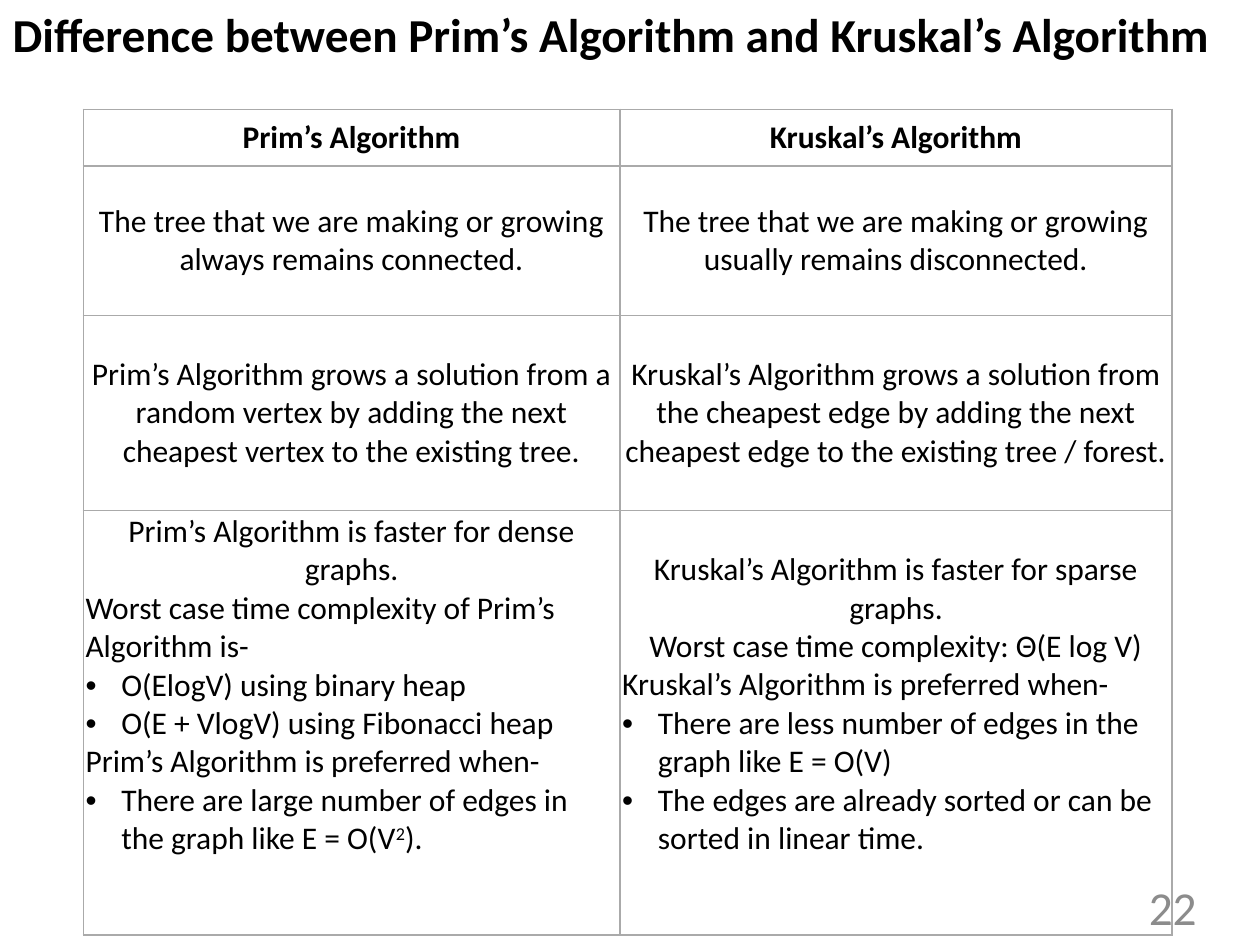
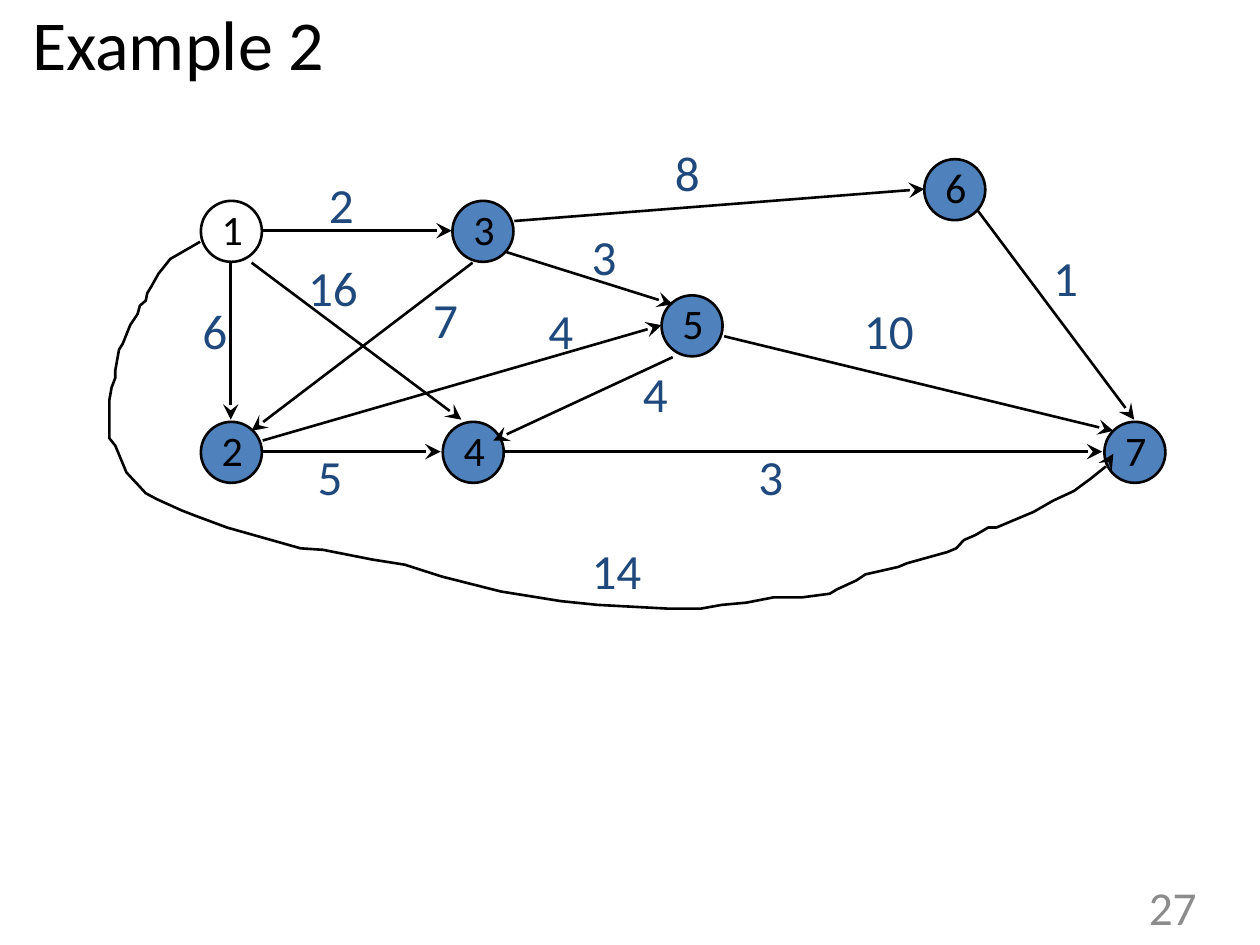
"""Build two slides that compare spanning tree methods and show a weighted graph."""
from dataclasses import dataclass
from typing import Any

from lxml.etree import SubElement
from pptx import Presentation
from pptx.dml.color import RGBColor
from pptx.enum.shapes import MSO_CONNECTOR, MSO_SHAPE
from pptx.enum.text import MSO_ANCHOR, MSO_AUTO_SIZE, PP_ALIGN
from pptx.oxml import parse_xml
from pptx.oxml.ns import nsdecls, qn
from pptx.util import Cm, Pt

COLORS = {
    "black": "000000",
    "white": "FFFFFF",
    "node": "4F81BD",
    "weight": "1F497D",
    "number": "8C8C8C",
    "border": "AAAAAA",
}
FONT = "Calibri"
NODE_SIZE = 0.82
Point = tuple[float, float]


@dataclass(frozen=True)
class Box:
    left: float
    top: float
    width: float
    height: float

    def emu(self) -> tuple[Cm, Cm, Cm, Cm]:
        return Cm(self.left), Cm(self.top), Cm(self.width), Cm(self.height)


@dataclass(frozen=True)
class Style:
    size: float
    color: str = "black"
    bold: bool = False


@dataclass(frozen=True)
class Node:
    name: str
    left: float
    top: float
    fill: str = "node"


@dataclass(frozen=True)
class Edge:
    start: Point
    end: Point
    weight: str
    label: Point


@dataclass(frozen=True)
class Para:
    text: str
    kind: str = "center"


COLUMNS = (7.21, 7.42)
ROWS = (0.76, 2.01, 2.62, 5.7)
CELLS = (
    ((Para("Prim’s Algorithm"),), (Para("Kruskal’s Algorithm"),)),
    (
        (Para("The tree that we are making or growing always remains connected."),),
        (Para("The tree that we are making or growing usually remains disconnected."),),
    ),
    (
        (Para("Prim’s Algorithm grows a solution from a random vertex by adding "
              "the next cheapest vertex to the existing tree."),),
        (Para("Kruskal’s Algorithm grows a solution from the cheapest edge by adding "
              "the next cheapest edge to the existing tree / forest."),),
    ),
    (
        (
            Para("Prim’s Algorithm is faster for dense graphs."),
            Para("Worst case time complexity of Prim’s Algorithm is-", "left"),
            Para("O(ElogV) using binary heap", "bullet"),
            Para("O(E + VlogV) using Fibonacci heap", "bullet"),
            Para("Prim’s Algorithm is preferred when-", "left"),
            Para("There are large number of edges in the graph like E = O(V^2^).", "bullet"),
        ),
        (
            Para("Kruskal’s Algorithm is faster for sparse graphs."),
            Para("Worst case time complexity: Θ(E log V)"),
            Para("Kruskal’s Algorithm is preferred when-", "left"),
            Para("There are less number of edges in the graph like E = O(V)", "bullet"),
            Para("The edges are already sorted or can be sorted in linear time.", "bullet"),
        ),
    ),
)
LAST_PADS = (1.03, 0.52)

NODES = (
    Node("1", 2.7, 2.7, "white"),
    Node("2", 2.7, 5.67),
    Node("3", 6.08, 2.7),
    Node("4", 5.95, 5.67),
    Node("5", 8.89, 3.97),
    Node("6", 12.42, 2.14),
    Node("7", 14.84, 5.67),
)
EDGES = (
    Edge((3.53, 3.1), (6.07, 3.1), "2", (4.24, 2.26)),
    Edge((3.1, 3.53), (3.1, 5.64), "6", (2.54, 3.96)),
    Edge((3.38, 3.53), (6.2, 5.64), "16", (3.96, 3.38)),
    Edge((6.35, 3.53), (3.38, 5.79), "7", (5.64, 3.81)),
    Edge((6.91, 2.97), (12.42, 2.54), "8", (8.89, 1.83)),
    Edge((9.73, 4.52), (14.96, 5.79), "10", (11.43, 3.96)),
    Edge((6.78, 3.38), (9.04, 4.09), "3", (7.77, 2.97)),
    Edge((3.53, 5.92), (8.89, 4.37), "4", (7.19, 3.96)),
    Edge((9.04, 4.8), (6.63, 5.92), "4", (8.46, 4.8)),
    Edge((3.53, 6.07), (5.92, 6.07), "5", (4.09, 5.92)),
    Edge((6.78, 6.07), (14.81, 6.07), "3", (10.01, 5.92)),
    Edge((13.13, 2.82), (15.24, 5.64), "1", (13.97, 3.25)),
)
CURVE = (
    (2.69, 3.25), (2.29, 3.48), (2.13, 3.68), (2.03, 3.86), (1.98, 3.94),
    (1.96, 4.04), (1.88, 4.11), (1.85, 4.22), (1.75, 4.37), (1.65, 4.62),
    (1.6, 4.7), (1.55, 4.98), (1.55, 5.08), (1.5, 5.21), (1.47, 5.38),
    (1.47, 5.89), (1.55, 5.99), (1.7, 6.35), (1.96, 6.63), (2.11, 6.71),
    (2.44, 6.86), (2.62, 6.93), (3.05, 7.09), (4.04, 7.37), (4.34, 7.39),
    (5, 7.52), (5.44, 7.59), (5.94, 7.75), (6.73, 7.95), (7.54, 8.08),
    (8.03, 8.13), (8.97, 8.18), (9.42, 8.18), (9.7, 8.13), (10.03, 8.1),
    (10.39, 8.03), (10.77, 8.03), (11.15, 7.98), (11.25, 7.92), (11.51, 7.8),
    (11.63, 7.72), (12.07, 7.62), (12.19, 7.57), (12.73, 7.42), (12.85, 7.37),
    (12.95, 7.26), (13.11, 7.19), (13.28, 7.09), (13.39, 7.09), (13.77, 6.93),
    (13.89, 6.88), (14.15, 6.73), (14.43, 6.6), (14.66, 6.43), (14.86, 6.27),
    (14.96, 6.1),
)


def color(name: str) -> RGBColor:
    return RGBColor.from_string(COLORS[name])


def format_runs(para: Any, style: Style) -> None:
    for run in para.runs:
        run.font.name = FONT
        run.font.size = Pt(style.size)
        run.font.bold = style.bold
        run.font.color.rgb = color(style.color)


def set_pads(item: Any, side: float, edge: float) -> None:
    item.margin_left = item.margin_right = Cm(side)
    item.margin_top = item.margin_bottom = Cm(edge)


def add_text(slide: Any, text: str, box: Box, style: Style, pads: Point = (0.18, 0.08),
             align: Any = PP_ALIGN.LEFT, wrap: bool = True) -> None:
    frame = slide.shapes.add_textbox(*box.emu()).text_frame
    frame.text = text
    frame.word_wrap = wrap
    set_pads(frame, *pads)
    frame.paragraphs[0].alignment = align
    format_runs(frame.paragraphs[0], style)


def add_page(deck: Any, title: str, box: Box, style: Style, pads: Point,
             number: str) -> Any:
    slide = deck.slides.add_slide(deck.slide_layouts[5])
    shape = slide.shapes.title
    shape.left, shape.top, shape.width, shape.height = box.emu()
    frame = shape.text_frame
    frame.text = title
    frame.word_wrap = True
    frame.auto_size = MSO_AUTO_SIZE.NONE
    frame.vertical_anchor = MSO_ANCHOR.MIDDLE
    set_pads(frame, *pads)
    frame.paragraphs[0].alignment = PP_ALIGN.LEFT
    format_runs(frame.paragraphs[0], style)
    return slide


def add_number(slide: Any, number: str) -> None:
    add_text(slide, number, Box(12.19, 11.81, 3.89, 0.76), Style(18, "number"),
             (0, 0), PP_ALIGN.RIGHT)


def fill_para(para: Any, data: Para, style: Style) -> None:
    first, *rest = data.text.split("^")
    para.text = first
    for part in rest:
        para.add_run().text = part
    format_runs(para, style)
    for run in para.runs[1::2]:
        run.font._element.set("baseline", "30000")
    para.alignment = PP_ALIGN.CENTER if data.kind == "center" else PP_ALIGN.LEFT
    if data.kind == "bullet":
        props = para._p.get_or_add_pPr()
        props.set("marL", str(Cm(0.48)))
        props.set("indent", str(-Cm(0.48)))
        SubElement(props, qn("a:buFont")).set("typeface", "Arial")
        SubElement(props, qn("a:buChar")).set("char", "•")


def set_border(cell: Any) -> None:
    props = cell._tc.get_or_add_tcPr()
    for spot, side in enumerate("LRTB"):
        props.insert(spot, parse_xml(
            f'<a:ln{side} {nsdecls("a")} w="{Pt(0.75)}"><a:solidFill>'
            f'<a:srgbClr val="{COLORS["border"]}"/></a:solidFill></a:ln{side}>'))


def fill_cell(cell: Any, paras: tuple[Para, ...], bold: bool) -> None:
    cell.fill.solid()
    cell.fill.fore_color.rgb = color("white")
    cell.vertical_anchor = MSO_ANCHOR.MIDDLE
    set_pads(cell, 0.03, 0.03)
    set_border(cell)
    frame = cell.text_frame
    for spot, data in enumerate(paras):
        para = frame.add_paragraph() if spot else frame.paragraphs[0]
        fill_para(para, data, Style(12, bold=bold))


def add_grid(slide: Any) -> None:
    box = Box(1.12, 1.47, sum(COLUMNS), sum(ROWS))
    table = slide.shapes.add_table(len(ROWS), len(COLUMNS), *box.emu()).table
    table.first_row = table.horz_banding = False
    for column, width in zip(table.columns, COLUMNS):
        column.width = Cm(width)
    for top, (row, height) in enumerate(zip(table.rows, ROWS)):
        row.height = Cm(height)
        for cell, paras in zip(row.cells, CELLS[top]):
            fill_cell(cell, paras, top == 0)
    for cell, pad in zip(row.cells, LAST_PADS):
        cell.margin_bottom = Cm(pad)


def set_arrow(shape: Any) -> None:
    shape.line.color.rgb = color("black")
    shape.line.width = Pt(1)
    SubElement(shape.line._get_or_add_ln(), qn("a:tailEnd")).set("type", "stealth")
    SubElement(shape._element.spPr, qn("a:effectLst"))


def add_node(slide: Any, node: Node) -> None:
    box = Box(node.left, node.top, NODE_SIZE, NODE_SIZE)
    shape = slide.shapes.add_shape(MSO_SHAPE.OVAL, *box.emu())
    shape.shadow.inherit = False
    shape.fill.solid()
    shape.fill.fore_color.rgb = color(node.fill)
    shape.line.color.rgb = color("black")
    shape.line.width = Pt(1)
    add_text(slide, node.name, Box(node.left + 0.1, node.top - 0.05, 0.63, 0.86),
             Style(16), wrap=False)


def add_weight(slide: Any, text: str, spot: Point) -> None:
    width = 0.3 + 0.41 * len(text)
    add_text(slide, text, Box(*spot, width, 0.97), Style(18.7, "weight"))


def add_edge(slide: Any, edge: Edge) -> None:
    ends = [Cm(value) for value in edge.start + edge.end]
    set_arrow(slide.shapes.add_connector(MSO_CONNECTOR.STRAIGHT, *ends))
    add_weight(slide, edge.weight, edge.label)


def add_curve(slide: Any) -> None:
    first, *rest = [(Cm(x), Cm(y)) for x, y in CURVE]
    pen = slide.shapes.build_freeform(*first)
    pen.add_line_segments(rest, close=False)
    shape = pen.convert_to_shape()
    shape.fill.background()
    set_arrow(shape)
    add_weight(slide, "14", (7.77, 7.19))


def main() -> None:
    deck = Presentation()
    deck.slide_width, deck.slide_height = Cm(16.93), Cm(12.7)
    slide = add_page(deck, "Difference between Prim’s Algorithm and Kruskal’s Algorithm",
                     Box(-0.08, 0.08, 17.02, 0.74), Style(18, bold=True), (0.25, 0.13), "22")
    add_grid(slide)
    add_number(slide, "22")
    slide = add_page(deck, "Example 2", Box(0.43, 0, 15.95, 1.14), Style(26.7), (0, 0), "27")
    for node in NODES:
        add_node(slide, node)
    for edge in EDGES:
        add_edge(slide, edge)
    add_curve(slide)
    add_number(slide, "27")
    deck.save("out.pptx")


if __name__ == "__main__":
    main()
